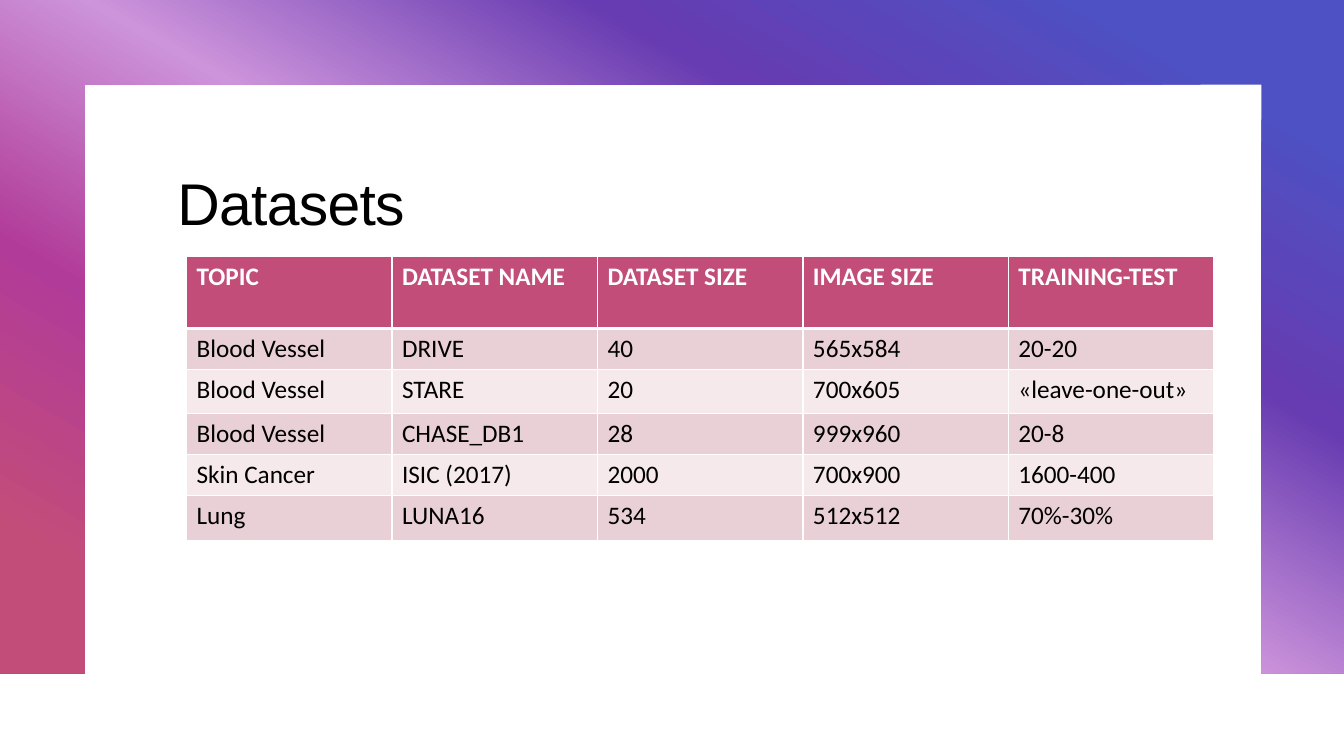
from dataclasses import dataclass

from lxml import etree
from pptx import Presentation
from pptx.dml.color import RGBColor
from pptx.enum.text import MSO_ANCHOR, MSO_AUTO_SIZE, PP_ALIGN
from pptx.oxml.ns import qn
from pptx.util import Inches, Pt

TOP = MSO_ANCHOR.TOP
LEFT = PP_ALIGN.LEFT
FIXED = MSO_AUTO_SIZE.NONE
TITLE_ONLY = 5


@dataclass(frozen=True)
class Theme:
    white: str = "FFFFFF"
    black: str = "000000"
    head: str = "C34D79"
    bands: tuple = ("E9D0D7", "F5E9EC")
    glow: tuple = ((10, "4D51C3"), (30, "673BB1"), (50, "CD94DB"),
                   (70, "B13B98"), (90, "C34D79"))
    title_font: str = "Arial"
    body_font: str = "Calibri"
    title_size: int = 42
    body_size: int = 18
    thin: int = 1
    thick: int = 3


THEME = Theme()

FRAME = [(0, 0), (13.33, 0), (13.33, 6.68), (12.51, 6.68),
         (12.51, 0.84), (0.84, 0.84), (0.84, 6.68), (0, 6.68)]

HEIGHTS = [0.72, 0.41, 0.43, 0.41, 0.41, 0.44]
ROWS = [
    ("TOPIC", "DATASET NAME", "DATASET SIZE", "IMAGE SIZE", "TRAINING-TEST"),
    ("Blood Vessel", "DRIVE", "40", "565x584", "20-20"),
    ("Blood Vessel", "STARE", "20", "700x605", "«leave-one-out»"),
    ("Blood Vessel", "CHASE_DB1", "28", "999x960", "20-8"),
    ("Skin Cancer", "ISIC (2017)", "2000", "700x900", "1600-400"),
    ("Lung", "LUNA16", "534", "512x512", "70%-30%"),
]


def add_run(para, text, font, size, color, bold=False):
    run = para.add_run()
    run.text = text
    run.font.name = font
    run.font.size = Pt(size)
    run.font.bold = bold
    run.font.color.rgb = RGBColor.from_string(color)
    return run


def add_color(parent, color):
    etree.SubElement(parent, qn("a:srgbClr"), val=color)


def fill_glow(shape, stops, angle):
    """Fill with any number of gradient stops, angle counter-clockwise."""
    shape.fill.gradient()
    shape.fill.gradient_angle = angle
    group = next(shape.element.iter(qn("a:gsLst")))
    for old in list(group):
        group.remove(old)
    for place, color in stops:
        stop = etree.SubElement(group, qn("a:gs"), pos=str(place * 1000))
        add_color(stop, color)


def add_frame(slide, points):
    """Draw the gradient border behind the title."""
    start, *rest = [(Inches(x), Inches(y)) for x, y in points]
    pen = slide.shapes.build_freeform(*start)
    pen.add_line_segments(rest, close=True)
    shape = pen.convert_to_shape()
    shape.shadow.inherit = False
    shape.line.fill.background()
    fill_glow(shape, THEME.glow, 240)
    slide.shapes.title.element.addprevious(shape.element)


def set_title(slide, text):
    title = slide.shapes.title
    title.left, title.top = Inches(1.66), Inches(1.66)
    title.width, title.height = Inches(10), Inches(1.47)
    frame = title.text_frame
    frame.word_wrap = True
    frame.auto_size = FIXED
    frame.vertical_anchor = TOP
    para = frame.paragraphs[0]
    para.alignment = LEFT
    para.line_spacing = 0.95
    run = add_run(para, text, THEME.title_font, THEME.title_size, THEME.black)
    run.font.element.set("spc", "-50") if hasattr(run.font, "element") else (
        next(para.runs[0].font.fill and title.element.iter(qn("a:rPr")))
        .set("spc", "-50"))


def set_edges(cell, top, bottom):
    props = cell._tc.get_or_add_tcPr()
    widths = {"L": THEME.thin, "R": THEME.thin, "T": top, "B": bottom}
    for side, width in widths.items():
        line = etree.SubElement(props, qn(f"a:ln{side}"), w=str(Pt(width)))
        add_color(etree.SubElement(line, qn("a:solidFill")), THEME.white)


def set_cell(cell, text, row):
    is_head = row == 0
    set_edges(cell, THEME.thick if row == 1 else THEME.thin,
              THEME.thick if is_head else THEME.thin)
    fill = THEME.head if is_head else THEME.bands[(row - 1) % 2]
    cell.fill.solid()
    cell.fill.fore_color.rgb = RGBColor.from_string(fill)
    add_run(cell.text_frame.paragraphs[0], text, THEME.body_font,
            THEME.body_size, THEME.white if is_head else THEME.black, is_head)


def add_grid(slide, rows, heights):
    count = len(rows[0])
    width = 10.19
    table = slide.shapes.add_table(
        len(rows), count, Inches(1.85), Inches(2.54),
        Inches(width), Inches(sum(heights))).table
    for col in table.columns:
        col.width = Inches(width / count)
    for i, (texts, height) in enumerate(zip(rows, heights)):
        table.rows[i].height = Inches(height)
        for j, text in enumerate(texts):
            set_cell(table.cell(i, j), text, i)


def main():
    deck = Presentation()
    deck.slide_width, deck.slide_height = Inches(13.33), Inches(7.5)
    slide = deck.slides.add_slide(deck.slide_layouts[TITLE_ONLY])
    add_frame(slide, FRAME)
    set_title(slide, "Datasets")
    add_grid(slide, ROWS, HEIGHTS)
    deck.save("out.pptx")


if __name__ == "__main__":
    main()
